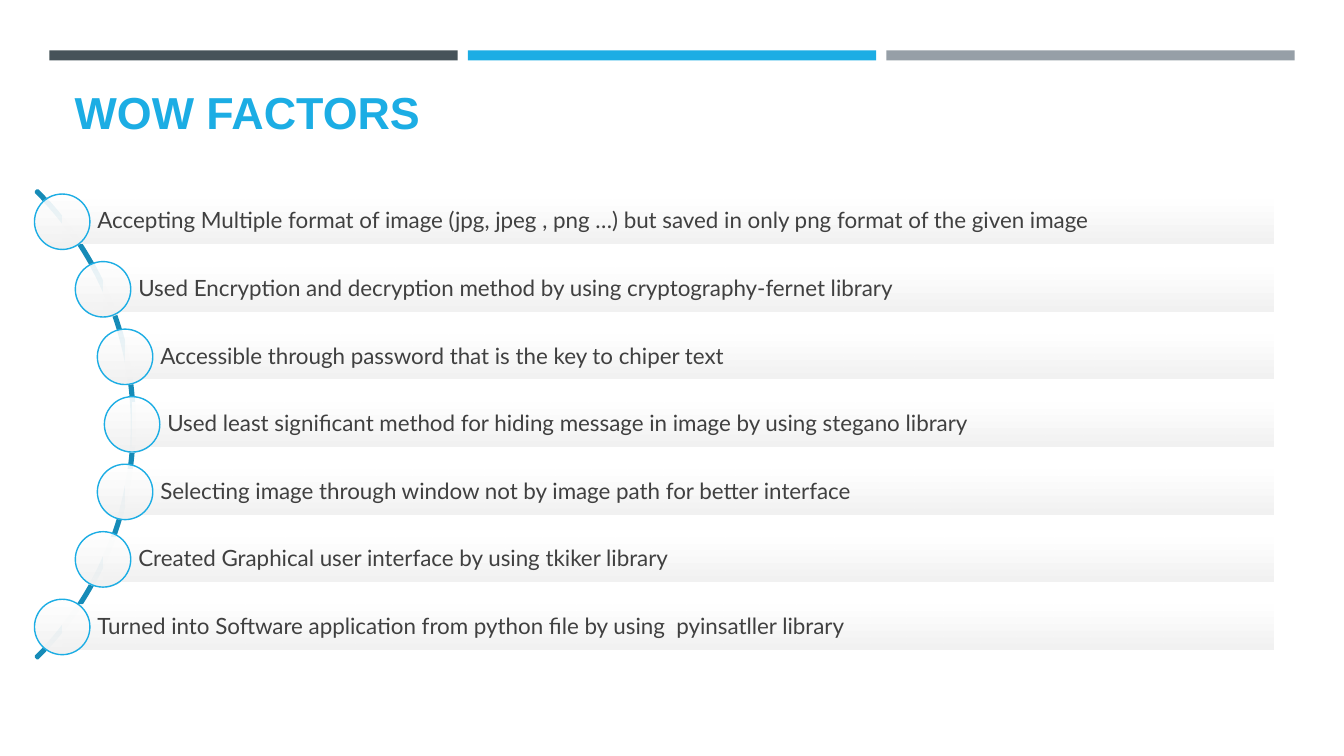
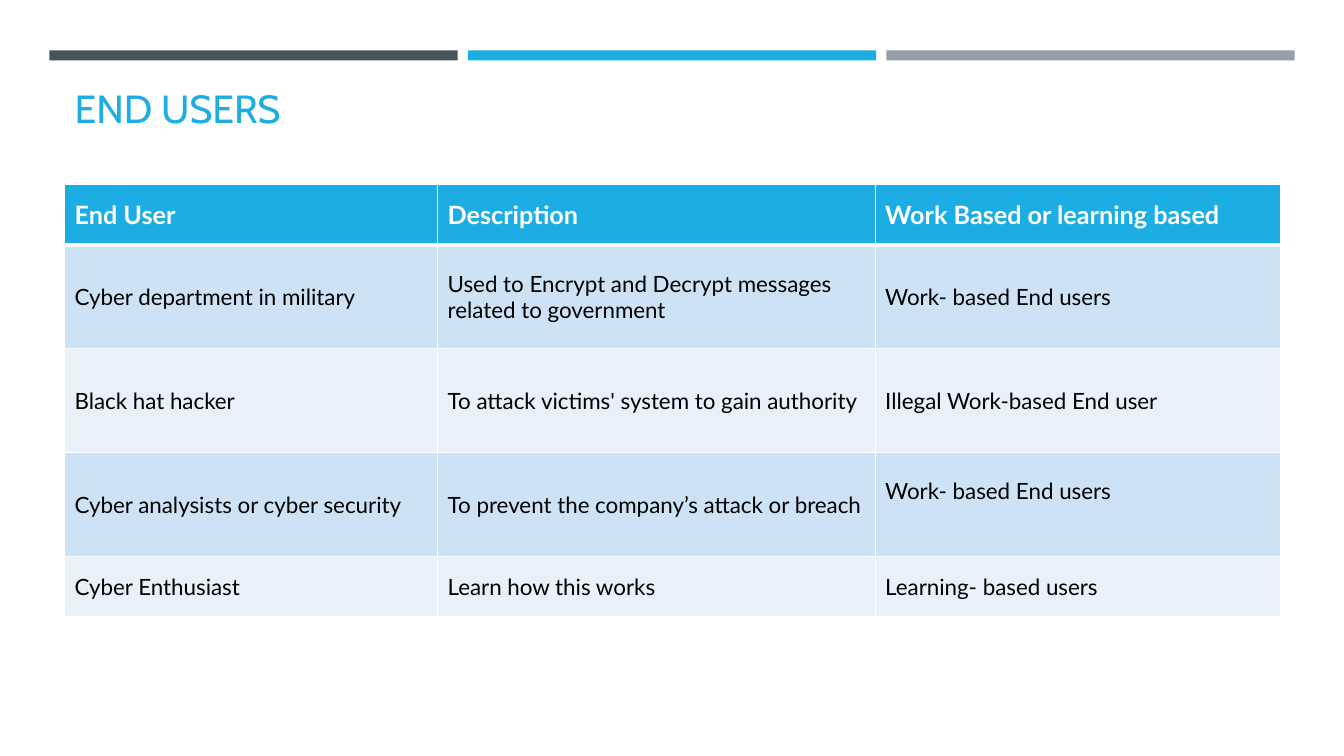
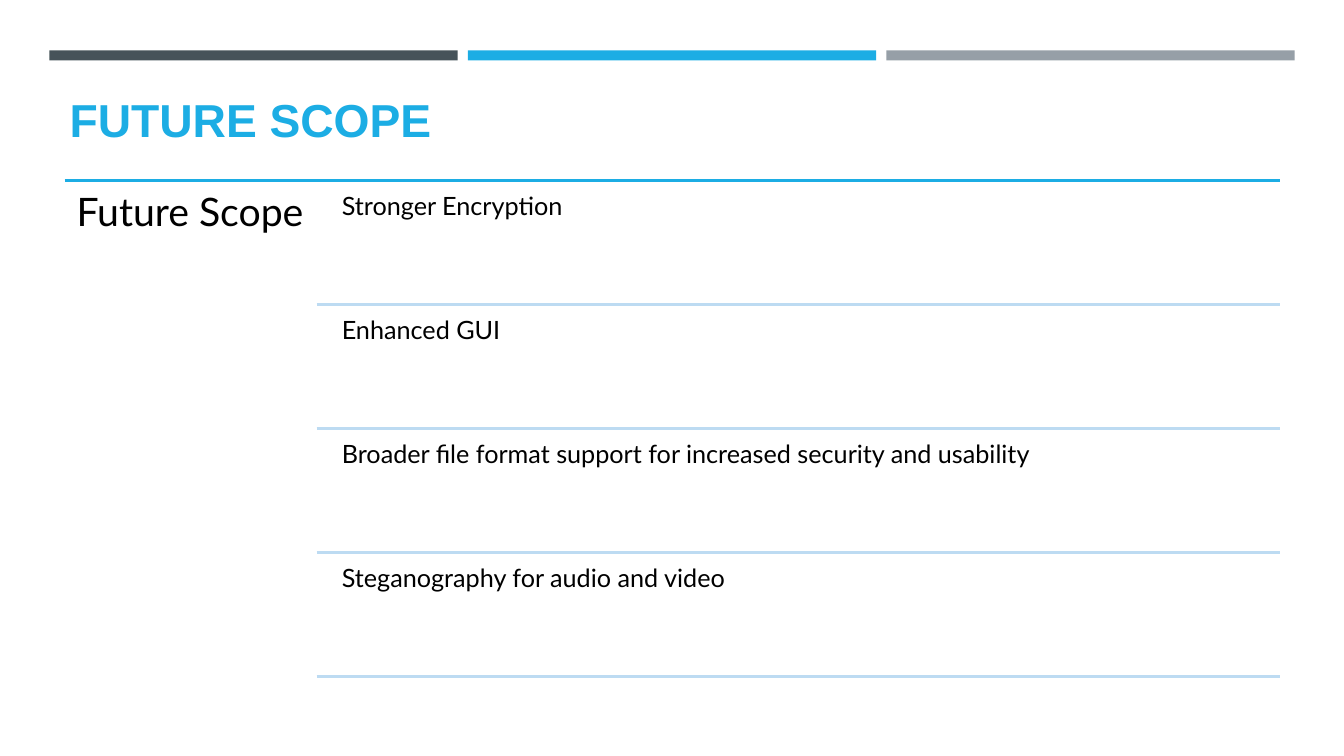
import math

import pptx
import pptx.dml.color
import pptx.enum.dml
import pptx.enum.shapes
import pptx.enum.text
import pptx.oxml
import pptx.oxml.ns
import pptx.util

Inches = pptx.util.Inches
Pt = pptx.util.Pt
RGBColor = pptx.dml.color.RGBColor
SHAPES = pptx.enum.shapes.MSO_SHAPE
ANCHOR = pptx.enum.text.MSO_ANCHOR
ALIGN = pptx.enum.text.PP_ALIGN

WHITE = RGBColor(0xFF, 0xFF, 0xFF)
BLACK = RGBColor(0x00, 0x00, 0x00)
SLATE = RGBColor(0x46, 0x53, 0x59)
BLUE = RGBColor(0x1C, 0xAD, 0xE4)
GREY = RGBColor(0x96, 0x9F, 0xA7)
DEEP_BLUE = RGBColor(0x16, 0x8B, 0xB7)
PALE_GREY = RGBColor(0xF2, 0xF2, 0xF2)
TEXT_GREY = RGBColor(0x40, 0x40, 0x40)
RULE_BLUE = RGBColor(0xBD, 0xDB, 0xF2)
ROW_DARK = RGBColor(0xCD, 0xE3, 0xF5)
ROW_LIGHT = RGBColor(0xE8, 0xF1, 0xFA)

BODY_FONT = "Lato"
TITLE_WIDTH, TITLE_HEIGHT = 12.06, 0.58

WOW_FACTORS = [
    "Accepting Multiple format of image (jpg, jpeg , png …) but saved in only png format of the given image",
    "Used Encryption and decryption method by using cryptography-fernet library",
    "Accessible through password that is the key to chiper text",
    "Used least significant method for hiding message in image by using stegano library",
    "Selecting image through window not by image path for better interface",
    "Created Graphical user interface by using tkiker library",
    "Turned into Software application from python file by using  pyinsatller library",
]
END_USERS = [
    ["End User", "Description", "Work Based or learning based"],
    ["Cyber department in military",
     "Used to Encrypt and Decrypt messages related to government",
     "Work- based End users"],
    ["Black hat hacker", "To attack victims' system to gain authority",
     "Illegal Work-based End user"],
    ["Cyber analysists or cyber security",
     "To prevent the company’s attack or breach", "Work- based End users"],
    ["Cyber Enthusiast", "Learn how this works", "Learning- based users"],
]
FUTURE_SCOPE = [
    "Stronger Encryption",
    "Enhanced GUI",
    "Broader file format support for increased security and usability",
    "Steganography for audio and video",
]


def write(frame, text, size, color, font=BODY_FONT, bold=False, spacing=None):
    frame.text = text
    paragraph = frame.paragraphs[0]
    paragraph.alignment = ALIGN.LEFT
    if spacing:
        paragraph.line_spacing = spacing
    for span in paragraph.runs:
        span.font.name = font
        span.font.size = Pt(size)
        span.font.bold = bold
        span.font.color.rgb = color


def set_margins(frame, left, top, right, bottom):
    frame.margin_left, frame.margin_top = Inches(left), Inches(top)
    frame.margin_right, frame.margin_bottom = Inches(right), Inches(bottom)


def add_preset(page, kind, left, top, width, height):
    shape = page.shapes.add_shape(
        kind, Inches(left), Inches(top), Inches(width), Inches(height))
    shape.shadow.inherit = False
    shape.line.fill.background()
    return shape


def fill_gradient(shape):
    shape.fill.gradient()
    shape.fill.gradient_angle = 270
    for stop, color, position in zip(
            shape.fill.gradient_stops, (WHITE, PALE_GREY), (0, 1)):
        stop.color.rgb = color
        stop.position = position
    first_color = shape.element.xpath(".//a:gs[1]/a:srgbClr")[0]
    alpha = pptx.oxml.parse_xml(
        f'<a:alpha {pptx.oxml.ns.nsdecls("a")} val="90000"/>')
    first_color.append(alpha)


def set_line(shape, color, width):
    shape.line.color.rgb = color
    shape.line.width = Pt(width)


def add_rule(page, left, right, y, color):
    rule = page.shapes.add_connector(
        pptx.enum.shapes.MSO_CONNECTOR.STRAIGHT,
        Inches(left), Inches(y), Inches(right), Inches(y))
    set_line(rule, color, 1.75)
    rule.element.spPr.append(pptx.oxml.parse_xml(
        f'<a:effectLst {pptx.oxml.ns.nsdecls("a")}/>'))


def add_text(page, left, top, width, height, text, size, margin):
    box = page.shapes.add_textbox(
        Inches(left), Inches(top), Inches(width), Inches(height))
    box.text_frame.word_wrap = True
    set_margins(box.text_frame, margin, margin, margin, margin)
    write(box.text_frame, text, size, BLACK, spacing=0.9)


def add_page(deck, title, left, top, size, font, bold=False, spacing=None):
    page = deck.slides.add_slide(deck.slide_layouts[5])
    heading = page.shapes.title
    heading.left, heading.top = Inches(left), Inches(top)
    heading.width, heading.height = Inches(TITLE_WIDTH), Inches(TITLE_HEIGHT)
    heading.text_frame.auto_size = pptx.enum.text.MSO_AUTO_SIZE.NONE
    heading.text_frame.vertical_anchor = ANCHOR.BOTTOM
    write(heading.text_frame, title, size, BLUE, font, bold, spacing)
    return page


def add_master_bands(deck, page):
    tree = deck.slide_master.shapes.element
    for index, color in enumerate((SLATE, BLUE, GREY)):
        band = add_preset(
            page, SHAPES.RECTANGLE, 0.49 + index * 4.15, 0.5, 4.05, 0.1)
        band.fill.solid()
        band.fill.fore_color.rgb = color
        band.element.nvSpPr.cNvPr.set("id", str(101 + index))
        tree.append(band.element)


def add_arc_list(page, items):
    center_x, center_y, orbit = -1.95, 4.21, 3.26
    arc_size, bar_height, circle_size = 6.57, 0.44, 0.55
    row_step, bar_right = 0.67, 12.63
    arc = add_preset(page, SHAPES.BLOCK_ARC, center_x - arc_size / 2,
                     center_y - arc_size / 2, arc_size, arc_size)
    for index, value in enumerate((189, 27, 0.4 / 100)):
        arc.adjustments[index] = value
    arc.fill.background()
    set_line(arc, DEEP_BLUE, 1.75)

    for index, item in enumerate(items):
        offset = (index - (len(items) - 1) / 2) * row_step
        x = center_x + math.sqrt(orbit ** 2 - offset ** 2)
        y = center_y + offset
        bar = add_preset(page, SHAPES.RECTANGLE, x, y - bar_height / 2,
                         bar_right - x, bar_height)
        fill_gradient(bar)
        set_margins(bar.text_frame, 0.35, 0.04, 0.04, 0.04)
        bar.text_frame.word_wrap = True
        bar.text_frame.vertical_anchor = ANCHOR.MIDDLE
        write(bar.text_frame, item, 16, TEXT_GREY, spacing=0.9)
        circle = add_preset(page, SHAPES.OVAL, x - circle_size / 2,
                            y - circle_size / 2, circle_size, circle_size)
        fill_gradient(circle)
        set_line(circle, BLUE, 1)


def set_borders(cell, bottom_width):
    properties = cell._tc.get_or_add_tcPr()
    widths = {"lnL": 1, "lnR": 1, "lnT": 1, "lnB": bottom_width}
    for index, (side, width) in enumerate(widths.items()):
        properties.insert(index, pptx.oxml.parse_xml(
            f'<a:{side} {pptx.oxml.ns.nsdecls("a")} w="{Pt(width)}">'
            f'<a:solidFill><a:srgbClr val="{WHITE}"/></a:solidFill>'
            f'</a:{side}>'))


def add_user_table(page, rows):
    column_widths = (3.7, 4.34, 4.02)
    row_heights = (0.6, 1.03, 1.03, 1.03, 0.6)
    table = page.shapes.add_table(
        len(rows), len(column_widths), Inches(0.64), Inches(1.83),
        Inches(sum(column_widths)), Inches(sum(row_heights))).table
    for column, width in zip(table.columns, column_widths):
        column.width = Inches(width)
    for row_index, (row, height) in enumerate(zip(table.rows, row_heights)):
        row.height = Inches(height)
        header = row_index == 0
        fill = BLUE if header else ROW_DARK if row_index % 2 else ROW_LIGHT
        for cell, text in zip(row.cells, rows[row_index]):
            cell.fill.solid()
            cell.fill.fore_color.rgb = fill
            cell.vertical_anchor = ANCHOR.MIDDLE
            write(cell.text_frame, text, 18 if header else 16,
                  WHITE if header else BLACK, bold=header)
            set_borders(cell, 3 if header else 1)
    table.cell(3, 2).margin_bottom = Inches(0.32)


def add_scope_list(page, heading, items):
    left, top, right = 0.64, 1.79, 12.7
    rule_left, text_left = 3.14, 3.32
    row_step, gap = 1.23, 0.06
    add_rule(page, left, right, top, BLUE)
    add_text(page, left, top, rule_left - left, 4.99, heading, 28, 0.12)
    for index, item in enumerate(items):
        row_top = top + index * row_step
        add_text(page, text_left, row_top + gap, right - text_left,
                 row_step - gap, item, 18, 0.07)
        add_rule(page, rule_left, right, row_top + row_step, RULE_BLUE)


def main():
    deck = pptx.Presentation()
    deck.slide_width, deck.slide_height = Inches(13.33), Inches(7.5)

    wow_page = add_page(deck, "WOW FACTORS", 0.64, 0.84, 32, "Arial", bold=True)
    add_master_bands(deck, wow_page)
    add_arc_list(wow_page, WOW_FACTORS)

    users_page = add_page(deck, "END USERS", 0.64, 0.77, 28, "Cabin")
    add_user_table(users_page, END_USERS)

    scope_page = add_page(deck, "FUTURE SCOPE", 0.59, 0.92, 33, "Arial",
                          bold=True, spacing=0.8)
    add_scope_list(scope_page, "Future Scope", FUTURE_SCOPE)

    deck.save("out.pptx")


if __name__ == "__main__":
    main()
